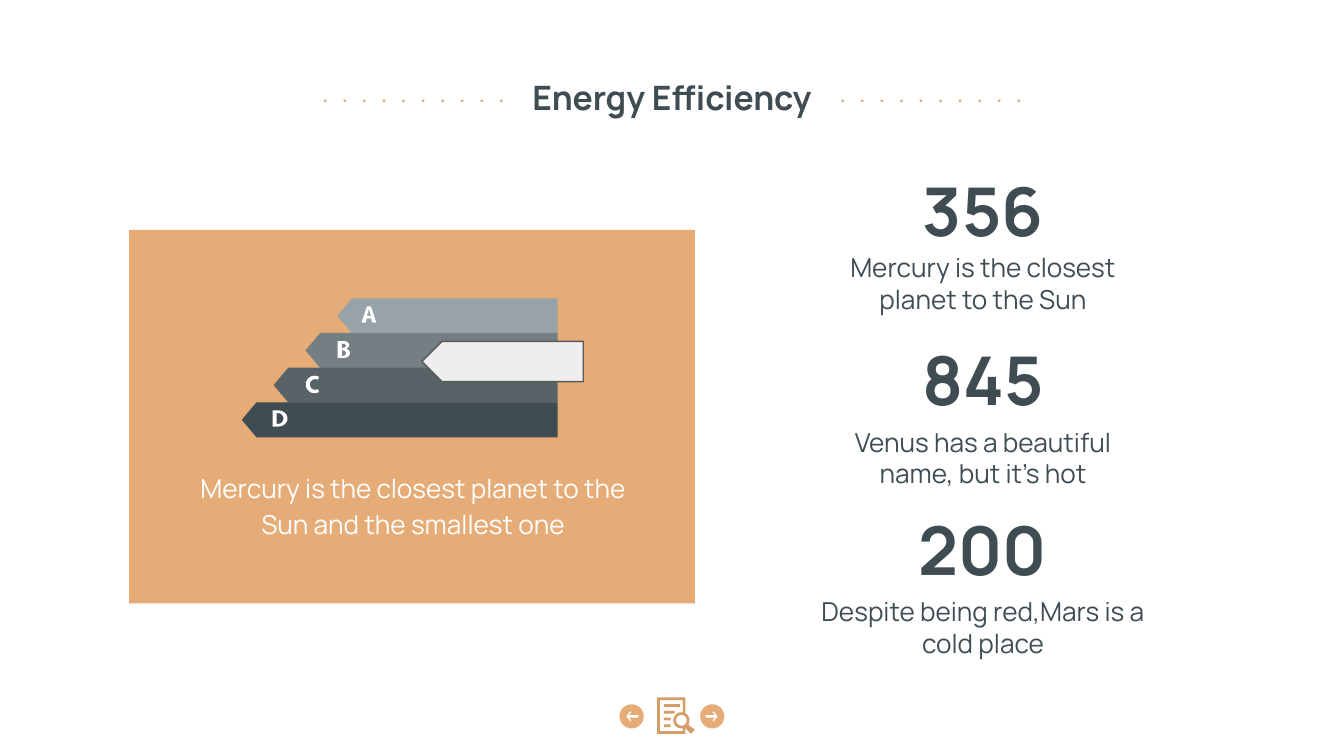
import math

import pptx
import pptx.util
import pptx.dml.color
import pptx.enum.shapes
import pptx.enum.text

Inches = pptx.util.Inches
RGBColor = pptx.dml.color.RGBColor
SHAPE = pptx.enum.shapes.MSO_SHAPE
ANCHOR = pptx.enum.text.MSO_ANCHOR

ORANGE = RGBColor(0xE5, 0xAC, 0x77)
BROWN = RGBColor(0xD6, 0x9D, 0x68)
SLATE = RGBColor(0x3F, 0x4D, 0x53)
WHITE = RGBColor(0xFF, 0xFF, 0xFF)
PALE = RGBColor(0xEE, 0xEE, 0xEE)
GREY = RGBColor(0x59, 0x59, 0x59)

STATS = [
    (1.27, 1.92, "356", "Mercury is the closest planet to the Sun"),
    (2.53, 3.22, "845", "Venus has a beautiful name, but it’s hot"),
    (3.79, 4.48, "200", "Despite being red,Mars is a cold place"),
]


def arc(cx, cy, rx, ry, start=0, end=360, steps=24):
    """Return points along an elliptical arc, with angles in degrees."""
    angles = [math.radians(start + (end - start) * i / steps)
              for i in range(steps + 1)]
    return [(cx + rx * math.cos(a), cy + ry * math.sin(a)) for a in angles]


def rect(x, y, w, h):
    """Return the corners of a rectangle."""
    return [(x, y), (x + w, y), (x + w, y + h), (x, y + h)]


LETTER_A = [
    [(0, 0.12), (0.04, 0), (0.07, 0), (0.11, 0.12),
     (0.08, 0.12), (0.07, 0.09), (0.04, 0.09), (0.03, 0.12)],
    [(0.055, 0.02), (0.07, 0.07), (0.04, 0.07)],
]
LETTER_B = [
    [(0, 0)] + arc(0.045, 0.03, 0.04, 0.03, -90, 60)
    + arc(0.05, 0.09, 0.04, 0.035, -60, 90) + [(0, 0.125)],
    [(0.03, 0.02)] + arc(0.04, 0.035, 0.02, 0.015, -90, 90) + [(0.03, 0.05)],
    [(0.03, 0.07)] + arc(0.04, 0.09, 0.02, 0.02, -90, 90) + [(0.03, 0.11)],
]
LETTER_C = [
    arc(0.065, 0.065, 0.065, 0.065, -60, -300)
    + arc(0.07, 0.065, 0.04, 0.04, -300, -60),
]
LETTER_D = [
    [(0, 0)] + arc(0.04, 0.06, 0.07, 0.06, -90, 90) + [(0, 0.12)],
    [(0.03, 0.02)] + arc(0.04, 0.06, 0.04, 0.04, -90, 90) + [(0.03, 0.1)],
]
BARS = [
    (LETTER_A, RGBColor(0x97, 0xA3, 0xA8), 0.18),
    (LETTER_B, RGBColor(0x74, 0x7F, 0x84), 0.24),
    (LETTER_C, RGBColor(0x58, 0x63, 0x67), 0.24),
    (LETTER_D, SLATE, 0.23),
]
ARROW = [(-0.04, 0), (-0.01, -0.04), (0, -0.03), (-0.02, -0.01),
         (0.05, -0.01), (0.05, 0.01), (-0.02, 0.01), (0, 0.03), (-0.01, 0.04)]
DOCUMENT = [
    [(0, 0), (0.21, 0), (0.21, 0.12)]
    + arc(0.18, 0.17, 0.06, 0.06, -60, 30)
    + [(0.24, 0.21), (0.28, 0.24), (0.25, 0.27), (0.21, 0.23),
       (0.21, 0.27), (0, 0.27)],
    [(0.02, 0.02), (0.19, 0.02)]
    + arc(0.18, 0.17, 0.06, 0.06, -80, -280)
    + [(0.19, 0.25), (0.02, 0.25)],
    arc(0.18, 0.17, 0.04, 0.04),
] + [rect(0.05, 0.05 + i * 0.05, length, 0.02)
     for i, length in enumerate((0.12, 0.08, 0.05, 0.05))]


def add_outline(s, x, y, contours, fill):
    """Add one filled freeform made of closed contours."""
    paths = [[(Inches(x + px), Inches(y + py)) for px, py in c]
             for c in contours]
    builder = s.shapes.build_freeform(*paths[0][0], scale=1.0)
    builder.add_line_segments(paths[0][1:], close=True)
    for points in paths[1:]:
        builder.move_to(*points[0])
        builder.add_line_segments(points[1:], close=True)
    sp = builder.convert_to_shape()
    sp.shadow.inherit = False
    sp.fill.solid()
    sp.fill.fore_color.rgb = fill
    sp.line.fill.background()


def add_shape(s, kind, x, y, w, h, fill):
    """Add a preset shape without line or shadow."""
    sp = s.shapes.add_shape(kind, Inches(x), Inches(y), Inches(w), Inches(h))
    sp.shadow.inherit = False
    sp.fill.solid()
    sp.fill.fore_color.rgb = fill
    sp.line.fill.background()
    return sp


def add_text(s, x, y, w, h, text, size, color=SLATE, bold=False,
             anchor=ANCHOR.TOP, spacing=1.0):
    """Add a centred one-paragraph text box."""
    tf = s.shapes.add_textbox(
        Inches(x), Inches(y), Inches(w), Inches(h)).text_frame
    frame = {"word_wrap": True, "vertical_anchor": anchor}
    for side in ("left", "top", "right", "bottom"):
        frame["margin_" + side] = Inches(0.1)
    for name, value in frame.items():
        setattr(tf, name, value)
    p = tf.paragraphs[0]
    p.alignment = pptx.enum.text.PP_ALIGN.CENTER
    p.line_spacing = spacing
    r = p.add_run()
    r.text = text
    font = {"name": "Manrope", "size": pptx.util.Pt(size), "bold": bold}
    for name, value in font.items():
        setattr(r.font, name, value)
    r.font.color.rgb = color


def add_heading(s, x, y, w, h):
    """Place the title between two rows of dots."""
    add_text(s, x, y, w, h, "Energy Efficiency", 18, bold=True)
    for left in (0.55, 4.4):
        for i in range(10):
            add_shape(s, SHAPE.OVAL, x + left + i * 1.31 / 9, y + 0.27,
                      0.02, 0.02, ORANGE)


def add_rating_panel(s, x, y, w, h):
    """Place the rating bars, the marker and the caption on a panel."""
    add_shape(s, SHAPE.RECTANGLE, x, y, w, h, ORANGE)
    for i, (letter, color, indent) in enumerate(BARS):
        left, top = x + 1.55 - i * 0.237, y + 0.51 + i * 0.258
        length = x + 3.19 - left
        bar = [(0.11, 0), (0, 0.13), (0.11, 0.26), (length, 0.26), (length, 0)]
        add_outline(s, left, top, [bar], color)
        add_outline(s, left + indent, top + 0.06, letter, WHITE)
    add_text(s, x + 0.3, y + 1.67, 3.63, 0.58,
             "Mercury is the closest planet to the Sun and the smallest one",
             14, WHITE, spacing=1.15)
    marker = add_shape(s, SHAPE.PENTAGON, x + 2.18, y + 0.83, 1.2, 0.3, PALE)
    marker._element.spPr.xfrm.set("flipH", "1")
    marker.line.color.rgb = GREY
    marker.line.width = pptx.util.Pt(0.75)


def add_stats(s, x, w):
    """Place the column of figures with their captions."""
    for number_y, caption_y, number, caption in STATS:
        add_text(s, x, number_y, w, 0.69, number, 36, bold=True,
                 anchor=ANCHOR.BOTTOM)
        add_text(s, x, caption_y, w, 0.52, caption, 14, anchor=ANCHOR.BOTTOM)


def add_navigation(s, x, y, w, h):
    """Place the back and forward buttons around a document icon."""
    add_shape(s, SHAPE.RECTANGLE, x, y, w, h, WHITE)
    for left, side in ((0.34, 1), (0.94, -1)):
        arrow = [(side * px, py) for px, py in ARROW]
        add_outline(s, x + left, y + 0.29,
                    [arc(0, 0, 0.09, 0.09), arrow], ORANGE)
    add_outline(s, x + 0.53, y + 0.15, DOCUMENT, BROWN)


def main():
    """Build the slide and save it."""
    prs = pptx.Presentation()
    prs.slide_width = Inches(10)
    prs.slide_height = prs.slide_width * 9 // 16
    s = prs.slides.add_slide(prs.slide_layouts[6])
    add_rating_panel(s, 0.96, 1.71, 4.21, 2.78)
    add_navigation(s, 4.36, 5.04, 1.27, 0.58)
    add_stats(s, 5.98, 2.67)
    add_heading(s, 1.86, 0.47, 6.28, 0.52)
    prs.save("out.pptx")


if __name__ == "__main__":
    main()
